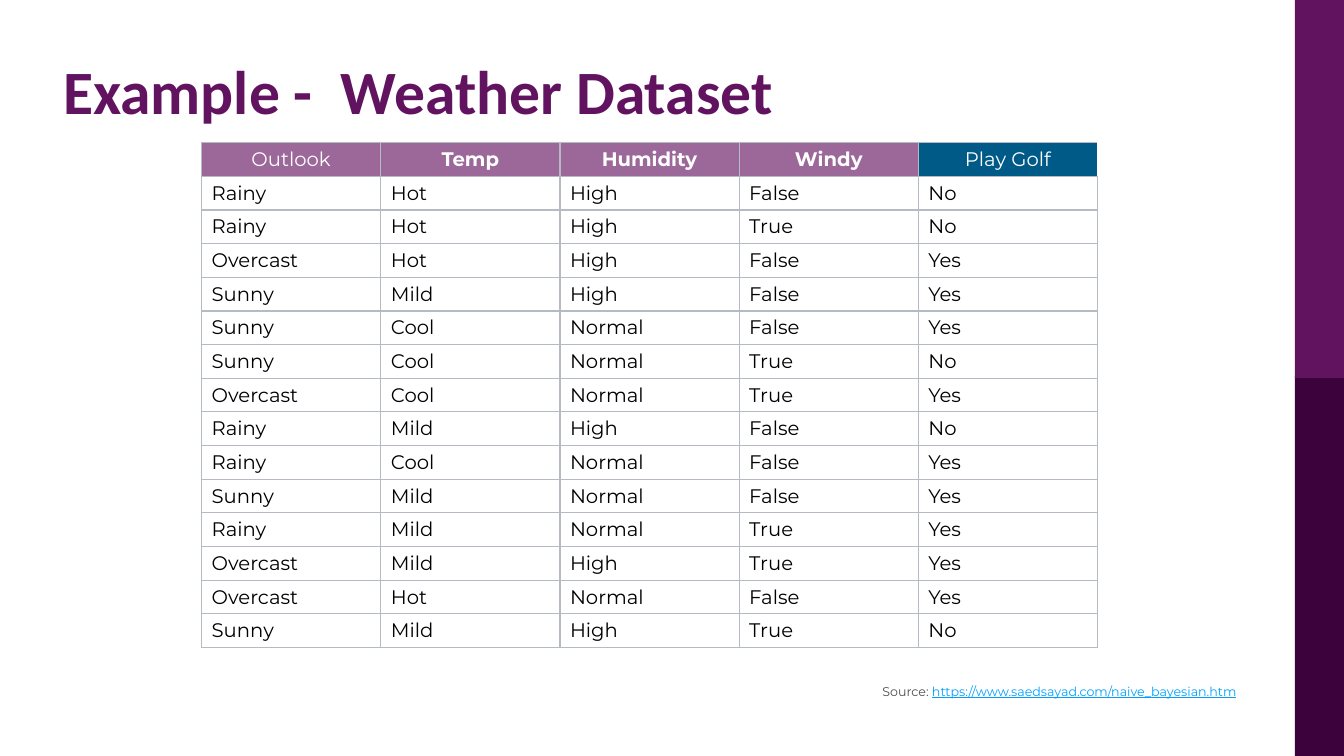
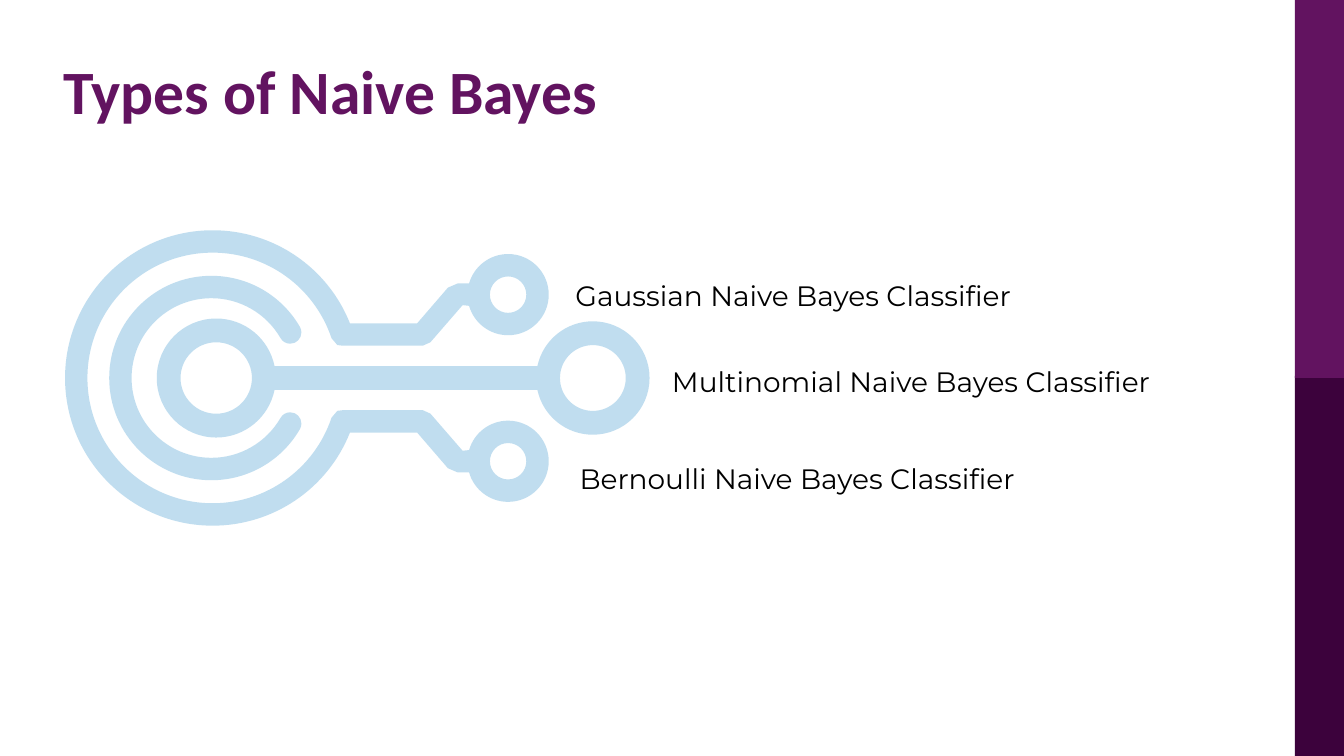
import math
from dataclasses import dataclass
from typing import Any, NamedTuple

import lxml.etree
import pptx
import pptx.dml.color
import pptx.enum.shapes
import pptx.enum.text
import pptx.oxml.ns
import pptx.util

Pt = pptx.util.Pt
ALIGN = pptx.enum.text.PP_ALIGN

COLOURS = {
    "plum": "621360",
    "dark plum": "3C023C",
    "mauve": "9C689A",
    "blue": "005A87",
    "sky": "7FBBDF",
    "link": "00A0FF",
    "grey": "4E4E4E",
    "border": "B5BBC3",
    "white": "FFFFFF",
    "black": "000000",
}
TITLE_FONT = {"name": "Calibri", "size": Pt(44), "bold": True}
SOURCE_FONT = {"name": "Montserrat", "size": Pt(9)}
CELL_FONT = {"name": "Montserrat", "size": Pt(14)}
LABEL_FONT = {"name": "Montserrat", "size": Pt(20)}

WEATHER = """Rainy Hot High False No
Rainy Hot High True No
Overcast Hot High False Yes
Sunny Mild High False Yes
Sunny Cool Normal False Yes
Sunny Cool Normal True No
Overcast Cool Normal True Yes
Rainy Mild High False No
Rainy Cool Normal False Yes
Sunny Mild Normal False Yes
Rainy Mild Normal True Yes
Overcast Mild High True Yes
Overcast Hot Normal False Yes
Sunny Mild High True No"""


class Vertex(NamedTuple):
    x: float
    y: float
    control: bool = False


@dataclass(frozen=True)
class Box:
    left: float
    top: float
    width: float
    height: float

    def lengths(self) -> list[int]:
        return [Pt(value) for value in (self.left, self.top, self.width, self.height)]


@dataclass(frozen=True)
class Band:
    colour: str
    box: Box


@dataclass(frozen=True)
class Heading:
    text: str
    colour: str = "mauve"
    bold: bool = True


@dataclass(frozen=True)
class Label:
    text: str
    left: float
    top: float


BANDS = [
    Band("dark plum", Box(925, 268.5, 35, 271.5)),
    Band("plum", Box(925, 0, 35, 270)),
]
HEADINGS = [
    Heading("Outlook", bold=False),
    Heading("Temp"),
    Heading("Humidity"),
    Heading("Windy"),
    Heading("Play Golf", "blue", False),
]
LABELS = [
    Label("Gaussian Naive Bayes Classifier", 411, 189.5),
    Label("Multinomial Naive Bayes Classifier", 480, 250.5),
    Label("Bernoulli Naive Bayes Classifier", 414, 320),
]


def rgb(colour: str) -> pptx.dml.color.RGBColor:
    return pptx.dml.color.RGBColor.from_string(COLOURS[colour])


def set_format(target: Any, values: dict[str, Any]) -> None:
    for name, value in values.items():
        setattr(target, name, value)


def paint(shape: Any, colour: str) -> None:
    """Give a shape a flat fill without line or shadow."""
    shape.shadow.inherit = False
    shape.fill.solid()
    shape.fill.fore_color.rgb = rgb(colour)
    shape.line.fill.background()


def add_span(para: Any, text: str, font: dict[str, Any], colour: str) -> None:
    span = para.add_run()
    span.text = text
    set_format(span.font, font)
    span.font.color.rgb = rgb(colour)


def add_text_box(page: Any, box: Box, side: float, top: float) -> Any:
    """Add an empty wrapping text box with the given insets; return its paragraph."""
    frame = page.shapes.add_textbox(*box.lengths()).text_frame
    set_format(frame, {
        "word_wrap": True,
        "margin_left": Pt(side), "margin_right": Pt(side),
        "margin_top": Pt(top), "margin_bottom": Pt(top),
    })
    return frame.paragraphs[0]


def add_page(deck: Any, title: str) -> Any:
    """Add a slide with the side bands and its title."""
    page = deck.slides.add_slide(deck.slide_layouts[6])
    for band in BANDS:
        paint(page.shapes.add_shape(
            pptx.enum.shapes.MSO_SHAPE.RECTANGLE, *band.box.lengths()), band.colour)
    para = add_text_box(page, Box(38, 44, 878, 89), 7.2, 3.6)
    para.line_spacing = 0.82
    add_span(para, title, TITLE_FONT, "plum")
    return page


def set_borders(cell: Any, right: str) -> None:
    properties = cell._tc.get_or_add_tcPr()
    sides = {"lnL": "border", "lnR": right, "lnT": "border", "lnB": "border"}
    for index, (tag, colour) in enumerate(sides.items()):
        line = lxml.etree.Element(pptx.oxml.ns.qn(f"a:{tag}"), w=str(Pt(1)))
        fill = lxml.etree.SubElement(line, pptx.oxml.ns.qn("a:solidFill"))
        lxml.etree.SubElement(fill, pptx.oxml.ns.qn("a:srgbClr"), val=COLOURS[colour])
        properties.insert(index, line)


def fill_cell(cell: Any, text: str, fill: str, colour: str, bold: bool,
              alignment: Any, right: str = "border") -> None:
    cell.fill.solid()
    cell.fill.fore_color.rgb = rgb(fill)
    set_borders(cell, right)
    para = cell.text_frame.paragraphs[0]
    para.alignment = alignment
    add_span(para, text, CELL_FONT | {"bold": bold}, colour)


def add_weather_table(page: Any) -> None:
    records = [line.split() for line in WEATHER.splitlines()]
    row_count, column_count = len(records) + 1, len(HEADINGS)
    box = Box(144, 101.9, 128 * column_count, 24 * row_count)
    table = page.shapes.add_table(row_count, column_count, *box.lengths()).table
    table.horz_banding = False
    for column, heading in enumerate(HEADINGS):
        right = "white" if column == column_count - 1 else "border"
        fill_cell(table.cell(0, column), heading.text, heading.colour, "white",
                  heading.bold, ALIGN.CENTER, right)
    for row, record in enumerate(records, start=1):
        for column, value in enumerate(record):
            fill_cell(table.cell(row, column), value, "white", "black", False, ALIGN.LEFT)


def polar(centre: Vertex, radius: float, angle: float) -> Vertex:
    turn = math.radians(angle)
    return Vertex(centre.x + radius * math.cos(turn), centre.y + radius * math.sin(turn))


def arc(centre: Vertex, radius: float, start: float, end: float) -> list[Vertex]:
    """Bézier vertices of an arc, cut at quadrants; degrees run clockwise from the right."""
    low, high = sorted((start, end))
    quadrants = [90 * turn for turn in range(-4, 7) if low < 90 * turn < high]
    stops = sorted([start, *quadrants, end], reverse=start > end)
    vertices = [polar(centre, radius, start)]
    for first, last in zip(stops, stops[1:]):
        reach = radius * 4 / 3 * math.tan(math.radians(last - first) / 4)
        begin, finish = polar(centre, radius, first), polar(centre, radius, last)
        leaving, arriving = polar(begin, reach, first + 90), polar(finish, -reach, last + 90)
        vertices += [leaving._replace(control=True), arriving._replace(control=True), finish]
    return vertices


def mirror(vertices: list[Vertex], axis: float) -> list[Vertex]:
    return [vertex._replace(y=2 * axis - vertex.y) for vertex in vertices]


def bend_curves(shape: Any, vertices: list[Vertex]) -> None:
    """Join each pair of control vertices and the next vertex into one Bézier curve."""
    outline = shape._element.spPr.find(".//" + pptx.oxml.ns.qn("a:path"))
    steps = [step for step in outline if len(step)]
    curve = None
    for step, vertex in zip(steps, vertices):
        if vertex.control and curve is None:
            curve = lxml.etree.Element(pptx.oxml.ns.qn("a:cubicBezTo"))
            step.addprevious(curve)
        if curve is not None:
            curve.append(step[0])
            outline.remove(step)
        if not vertex.control:
            curve = None


def add_outline(page: Any, *contours: list[Vertex]) -> Any:
    """Draw closed contours as one translucent shape; inner contours are holes."""
    scaled = [[(Pt(vertex.x), Pt(vertex.y)) for vertex in contour] for contour in contours]
    builder = page.shapes.build_freeform(*scaled[0][0])
    for index, contour in enumerate(scaled):
        if index:
            builder.move_to(*contour[0])
        builder.add_line_segments(contour[1:], close=True)
    shape = builder.convert_to_shape()
    bend_curves(shape, sum(contours, []))
    paint(shape, "sky")
    colour = shape._element.spPr.find(".//" + pptx.oxml.ns.qn("a:srgbClr"))
    lxml.etree.SubElement(colour, pptx.oxml.ns.qn("a:alpha"), val="49000")
    return shape


def add_branching_ring(page: Any, axis: float) -> Any:
    centre, node = Vertex(152, axis), Vertex(363, axis - 59.5)
    lower_edge = [(241, 246.5), (245, 247), (302, 247), (307.5, 244.5), (330.5, 218)]
    upper_edge = [(327, 202.5), (320, 205.5), (298, 231), (250, 231)]
    upper = [
        *arc(centre, 89.5, 180, 341.5),
        *(Vertex(x, y) for x, y in lower_edge),
        *arc(node, 29, 164, -164),
        *(Vertex(x, y) for x, y in upper_edge),
        *arc(centre, 105.5, -21.7, -180),
    ]
    hole = arc(node, 13, 0, 360)
    return add_outline(page, upper + mirror(upper, axis)[-2::-1], hole, mirror(hole, axis))


def add_open_ring(page: Any, axis: float) -> Any:
    centre, inner, outer, opening = Vertex(151, axis), 57, 73, 30
    middle, cap = (inner + outer) / 2, (outer - inner) / 2
    return add_outline(page, [
        *arc(centre, outer, -opening, opening - 360),
        *arc(polar(centre, middle, opening), cap, opening, opening - 180),
        *arc(centre, inner, opening - 360, -opening),
        *arc(polar(centre, middle, -opening), cap, 180 - opening, -opening),
    ])


def add_barbell(page: Any, axis: float) -> Any:
    left, right = Vertex(154.5, axis), Vertex(423.5, axis)
    return add_outline(
        page,
        arc(left, 42.5, 11.5, 348.5) + arc(right, 40.5, 192, 528),
        arc(left, 25.5, 0, 360),
        arc(right, 23.5, 0, 360),
    )


def build_weather(deck: Any) -> None:
    page = add_page(deck, "Example -  Weather Dataset")
    para = add_text_box(page, Box(512, 483, 378, 25), 7.2, 7.2)
    para.alignment = ALIGN.RIGHT
    add_span(para, "Source: ", SOURCE_FONT, "grey")
    add_span(para, "https://www.saedsayad.com/naive_bayesian.htm",
             SOURCE_FONT | {"underline": True}, "link")
    add_weather_table(page)


def build_types(deck: Any) -> None:
    page = add_page(deck, "Types of Naive Bayes")
    for label in LABELS:
        para = add_text_box(page, Box(label.left, label.top, 392, 38), 0, 0)
        set_format(para, {"line_spacing": 1.4, "space_after": Pt(12)})
        add_span(para, label.text, LABEL_FONT, "black")
    parts = [add(page, 270) for add in (add_branching_ring, add_open_ring, add_barbell)]
    page.shapes.add_group_shape(parts)


def main() -> None:
    deck = pptx.Presentation()
    set_format(deck, {"slide_width": Pt(960), "slide_height": Pt(540)})
    build_weather(deck)
    build_types(deck)
    deck.save("out.pptx")


if __name__ == "__main__":
    main()
